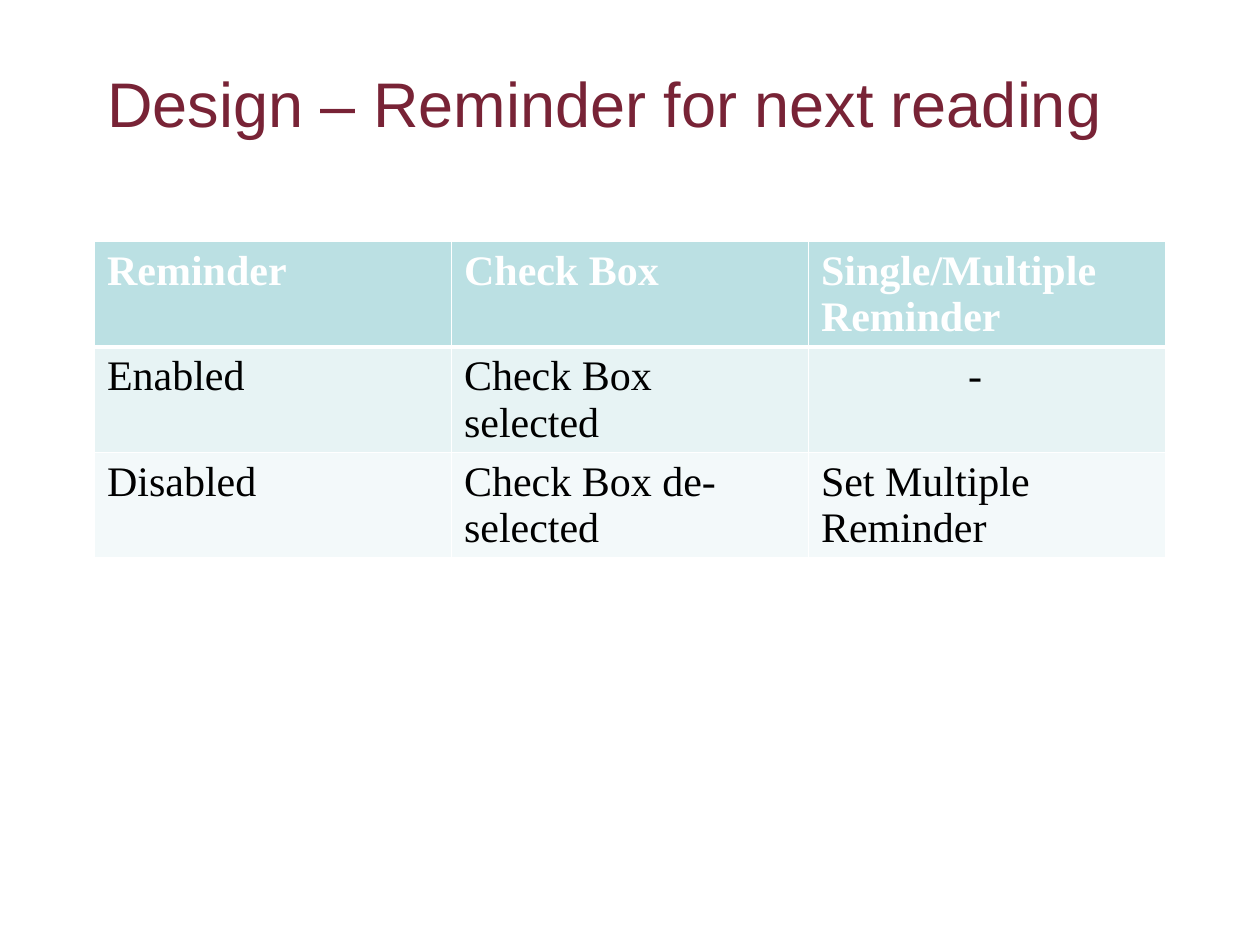
from dataclasses import dataclass

from lxml import etree
from pptx import Presentation
from pptx.dml.color import RGBColor
from pptx.enum.text import MSO_ANCHOR, PP_ALIGN
from pptx.oxml.ns import qn
from pptx.util import Pt

TOP = MSO_ANCHOR.TOP
LEFT = PP_ALIGN.LEFT
TITLE_ONLY = 5


@dataclass(frozen=True)
class Theme:
    title_font: str = "Arial"
    table_font: str = "Times New Roman"
    title_size: int = 36
    table_size: int = 24
    title_color: str = "782336"
    header_text: str = "FFFFFF"
    body_text: str = "000000"
    header_fill: str = "BBE0E3"
    band_fills: tuple = ("E7F3F4", "F3F9FA")
    border: str = "FFFFFF"
    thin: int = 1
    thick: int = 3


THEME = Theme()
TITLE_BOX = (54, 30, 612, 90)
TABLE_BOX = (54, 138, 612, 108)
DASH_INDENT = 91.2
ROWS = (
    ("Reminder", "Check Box", "Single/Multiple Reminder"),
    ("Enabled", "Check Box selected", "-"),
    ("Disabled", "Check Box de-selected", "Set Multiple Reminder"),
)


def add_span(para, text, font, size, color, bold=False):
    span = para.add_run()
    span.text = text
    span.font.name = font
    span.font.size = Pt(size)
    span.font.bold = bold
    span.font.color.rgb = RGBColor.from_string(color)


def add_border(cell, side, width):
    properties = cell._tc.get_or_add_tcPr()
    line = etree.SubElement(properties, qn("a:ln" + side), w=str(Pt(width)))
    fill = etree.SubElement(line, qn("a:solidFill"))
    etree.SubElement(fill, qn("a:srgbClr"), val=THEME.border)


def place_title(page, box, text):
    title = page.shapes.title
    title.left, title.top, title.width, title.height = map(Pt, box)
    frame = title.text_frame
    frame.word_wrap = True
    frame.vertical_anchor = TOP
    frame.margin_top = Pt(7)
    para = frame.paragraphs[0]
    para.alignment = LEFT
    add_span(para, text, THEME.title_font, THEME.title_size, THEME.title_color)


def fill_cell(cell, text, row):
    header = row == 0
    # Borders come before the fill; a heavy rule divides header and body
    widths = {
        "L": THEME.thin,
        "R": THEME.thin,
        "T": THEME.thick if row == 1 else THEME.thin,
        "B": THEME.thick if header else THEME.thin,
    }
    for side, width in widths.items():
        add_border(cell, side, width)
    color = THEME.header_fill if header else THEME.band_fills[(row - 1) % 2]
    cell.fill.solid()
    cell.fill.fore_color.rgb = RGBColor.from_string(color)

    if text == "-":
        cell.margin_left = Pt(DASH_INDENT)
    add_span(cell.text_frame.paragraphs[0], text, THEME.table_font,
             THEME.table_size,
             THEME.header_text if header else THEME.body_text, header)


def place_table(page, box, rows):
    # Equal columns and rows; rows grow to fit wrapped text
    frame = page.shapes.add_table(len(rows), len(rows[0]), *map(Pt, box))
    for row, texts in enumerate(rows):
        for column, text in enumerate(texts):
            fill_cell(frame.table.cell(row, column), text, row)


def main():
    deck = Presentation()
    deck.slide_width, deck.slide_height = Pt(720), Pt(540)
    page = deck.slides.add_slide(deck.slide_layouts[TITLE_ONLY])
    place_title(page, TITLE_BOX, "Design – Reminder for next reading")
    place_table(page, TABLE_BOX, ROWS)
    deck.save("out.pptx")


if __name__ == "__main__":
    main()
